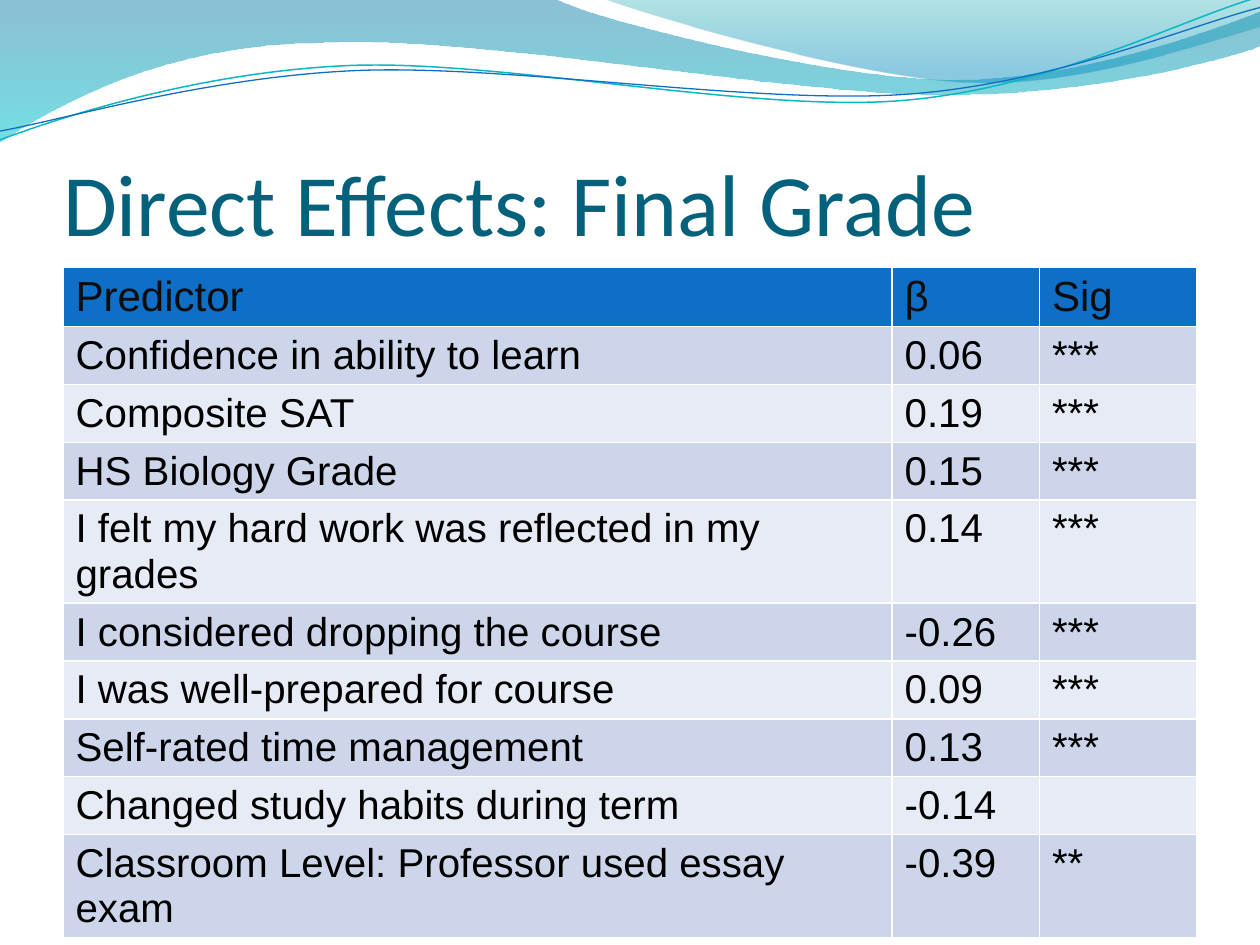
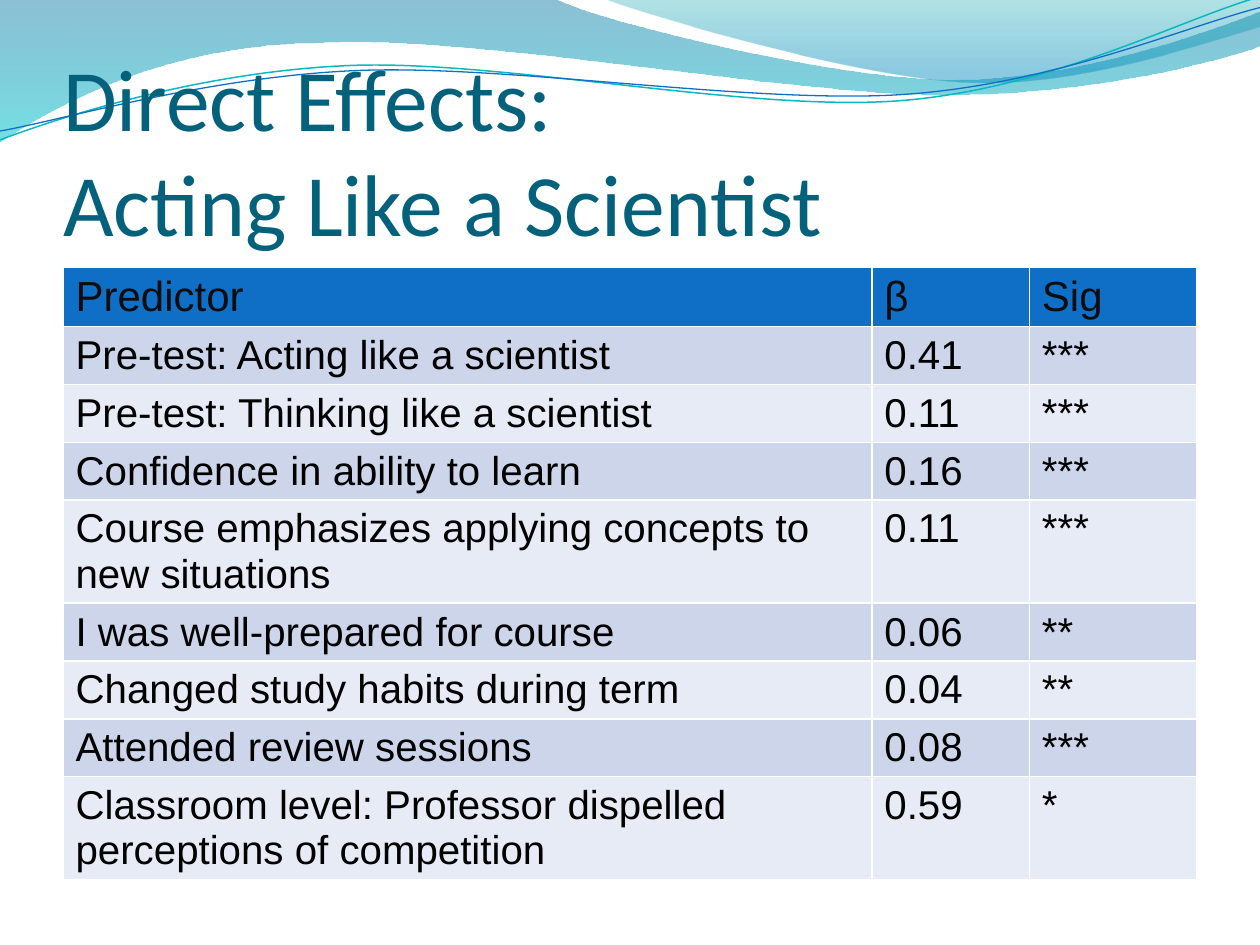
from math import cos, radians, sin

from lxml.etree import SubElement
from pptx import Presentation
from pptx.dml.color import RGBColor
from pptx.enum.text import MSO_ANCHOR as Anchor, MSO_AUTO_SIZE as AutoSize, PP_ALIGN as Align
from pptx.oxml.ns import qn
from pptx.util import Inches, Pt

BLACK = RGBColor(0x00, 0x00, 0x00)
NEAR_BLACK = RGBColor(0x0D, 0x0D, 0x0D)
TITLE_TEAL = RGBColor(0x04, 0x61, 0x7B)
BLUE = RGBColor(0x0F, 0x6F, 0xC6)
TURQUOISE = RGBColor(0x0A, 0xB8, 0xBF)
ROW_DARK = RGBColor(0xCC, 0xD5, 0xEA)
ROW_LIGHT = RGBColor(0xE7, 0xEB, 0xF5)

# Gradient stops: position, colour, opacity in percent
WAVE_GRADIENT = [(0, RGBColor(0x00, 0x74, 0xA1), 45), (1, RGBColor(0x00, 0xC6, 0xCF), 55)]
CREST_GRADIENT = [(0, RGBColor(0x00, 0xA1, 0xA9), 30), (0.8, RGBColor(0x00, 0x8B, 0xBF), 45)]

# Outlines in inches: a pair is a straight step, six numbers are a Bezier curve
WAVE = [
    (0, -0.01), (4.4, -0.01),
    (4.76, 0.17, 6.64, 0.63, 7.58, 0.63), (8.53, 0.63, 9.58, 0.26, 10, 0.09),
    (10.01, 0.36),
    (9.83, 0.44, 8.7, 0.76, 7.46, 0.75), (6.22, 0.75, 3.82, 0.28, 2.57, 0.34),
    (1.29, 0.35, 0.46, 0.83, -0.01, 1.13),
    (0, -0.01),
]
CREST = [
    (4.79, -0.01),
    (5.09, 0.11, 6.82, 0.62, 7.69, 0.65), (8.56, 0.69, 9.61, 0.32, 10, 0.21),
    (10, 0), (4.79, -0.01),
]
TURQUOISE_STRAND = [
    (0, 1.11),
    (0.48, 0.93, 1.58, 0.57, 2.77, 0.52), (3.95, 0.47, 5.93, 0.89, 7.13, 0.8),
    (8.33, 0.71, 9.38, 0.15, 9.98, -0.02),
]
BLUE_STRAND = [
    (0, 1.04),
    (0.47, 0.96, 1.64, 0.61, 2.83, 0.56), (4.03, 0.51, 5.97, 0.83, 7.17, 0.75),
    (8.36, 0.67, 9.41, 0.21, 10, 0.06),
]
STRAND_TILT = -2.7
STRAND_CENTER = (4.99, 0.58)

HEADER = ("Predictor", "β", "Sig")
FINAL_GRADE = [
    ("Confidence in ability to learn", "0.06", "***"),
    ("Composite SAT", "0.19", "***"),
    ("HS Biology Grade", "0.15", "***"),
    ("I felt my hard work was reflected in my grades", "0.14", "***"),
    ("I considered dropping the course", "-0.26", "***"),
    ("I was well-prepared for course", "0.09", "***"),
    ("Self-rated time management", "0.13", "***"),
    ("Changed study habits during term", "-0.14", ""),
    ("Classroom Level: Professor used essay exam", "-0.39", "**"),
]
ACTING_LIKE_A_SCIENTIST = [
    ("Pre-test: Acting like a scientist", "0.41", "***"),
    ("Pre-test: Thinking like a scientist", "0.11", "***"),
    ("Confidence in ability to learn", "0.16", "***"),
    ("Course emphasizes applying concepts to new situations", "0.11", "***"),
    ("I was well-prepared for course", "0.06", "**"),
    ("Changed study habits during term", "0.04", "**"),
    ("Attended review sessions", "0.08", "***"),
    ("Classroom level: Professor dispelled perceptions of competition", "0.59", "*"),
]


def write_text(text_frame, text, *, font="Arial", size=23, color=BLACK, align=Align.LEFT):
    text_frame.text = text
    for paragraph in text_frame.paragraphs:
        paragraph.alignment = align
        for run in paragraph.runs:
            run.font.name = font
            run.font.size = Pt(size)
            run.font.bold = False
            run.font.color.rgb = color


def rotate(outline, degrees, center):
    """Turn an outline clockwise about a center."""
    cosine, sine = cos(radians(degrees)), sin(radians(degrees))
    turned = []
    for step in outline:
        numbers = []
        for x, y in zip(step[::2], step[1::2]):
            across, down = x - center[0], y - center[1]
            numbers += [center[0] + across * cosine - down * sine,
                        center[1] + across * sine + down * cosine]
        turned.append(tuple(numbers))
    return turned


def bend_curves(shape, steps):
    """Merge the three straight segments of each curved step into one Bezier segment."""
    segments = iter(list(shape._element.iter(qn("a:lnTo"))))
    for step in steps:
        segment = next(segments)
        if len(step) == 6:
            segment.tag = qn("a:cubicBezTo")
            for _ in range(2):
                extra = next(segments)
                segment.append(extra[0])
                extra.getparent().remove(extra)


class Deck:
    left, width = Inches(0.5), Inches(9)
    title_top, title_height = Inches(0.77), Inches(1.25)
    table_top, row_height = Inches(2.12), Inches(0.41)

    def __init__(self):
        self.presentation = Presentation()
        self.presentation.slide_width = Inches(10)
        self.presentation.slide_height = Inches(7.5)
        self.layout = self.presentation.slide_layouts[5]
        self.slide = None

    def add_slide(self, title):
        self.slide = self.presentation.slides.add_slide(self.layout)
        shape = self.slide.shapes.title
        shape.left, shape.top = self.left, self.title_top
        shape.width, shape.height = self.width, self.title_height
        frame = shape.text_frame
        frame.auto_size = AutoSize.NONE
        frame.word_wrap = True
        frame.vertical_anchor = Anchor.BOTTOM
        frame.margin_left = frame.margin_right = frame.margin_bottom = 0
        frame.margin_top = Inches(0.05)
        write_text(frame, title, font="Calibri", size=50, color=TITLE_TEAL)

    def add_outline(self, outline, close):
        start, *steps = outline
        points = [(Inches(x), Inches(y))
                  for step in steps for x, y in zip(step[::2], step[1::2])]
        builder = self.slide.shapes.build_freeform(Inches(start[0]), Inches(start[1]))
        builder.add_line_segments(points, close=close)
        shape = builder.convert_to_shape()
        bend_curves(shape, steps)
        shape.shadow.inherit = False
        return shape

    def add_gradient_area(self, outline, gradient):
        shape = self.add_outline(outline, close=True)
        shape.line.fill.background()
        shape.fill.gradient()
        shape.fill.gradient_angle = 270
        for stop, (position, color, _) in zip(shape.fill.gradient_stops, gradient):
            stop.position = position
            stop.color.rgb = color
        colors = shape._element.spPr.iter(qn("a:srgbClr"))
        for color, (_, _, opacity) in zip(list(colors), gradient):
            SubElement(color, qn("a:alpha"), val=str(opacity * 1000))
        return shape

    def add_strand(self, outline, color, width):
        level_outline = rotate(outline, -STRAND_TILT, STRAND_CENTER)
        shape = self.add_outline(level_outline, close=False)
        shape.rotation = STRAND_TILT
        shape.fill.background()
        shape.line.color.rgb = color
        shape.line.width = Pt(width)
        return shape

    def add_wave_band(self):
        """Draw the band on the current slide, then hand it to the shared layout."""
        band = [
            self.add_gradient_area(WAVE, WAVE_GRADIENT),
            self.add_gradient_area(CREST, CREST_GRADIENT),
            self.add_strand(TURQUOISE_STRAND, TURQUOISE, 0.85),
            self.add_strand(BLUE_STRAND, BLUE, 0.75),
        ]
        for number, shape in enumerate(band):
            element = shape._element
            element.nvSpPr.cNvPr.set("id", str(20 + number))
            self.layout.shapes._spTree.insert(2 + number, element)

    def add_effects_table(self, effects, column_widths):
        """Add a table whose white rules come from the default table style."""
        rows = [HEADER, *effects]
        table = self.slide.shapes.add_table(
            len(rows), len(HEADER), self.left, self.table_top,
            self.width, self.row_height * len(rows)).table
        for column, width in zip(table.columns, column_widths):
            column.width = Inches(width)
        for row_index, row in enumerate(rows):
            table.rows[row_index].height = self.row_height
            is_header = row_index == 0
            row_fill = BLUE if is_header else ROW_DARK if row_index % 2 else ROW_LIGHT
            for cell, text in zip(table.rows[row_index].cells, row):
                cell.fill.solid()
                cell.fill.fore_color.rgb = row_fill
                write_text(cell.text_frame, text, size=24 if is_header else 23,
                           color=NEAR_BLACK if is_header else BLACK)


def main():
    deck = Deck()
    deck.add_slide("Direct Effects: Final Grade")
    deck.add_wave_band()
    deck.add_effects_table(FINAL_GRADE, (6.58, 1.17, 1.25))
    deck.add_slide("Direct Effects: \vActing Like a Scientist")
    deck.add_effects_table(ACTING_LIKE_A_SCIENTIST, (6.42, 1.25, 1.33))
    deck.presentation.save("out.pptx")


if __name__ == "__main__":
    main()
